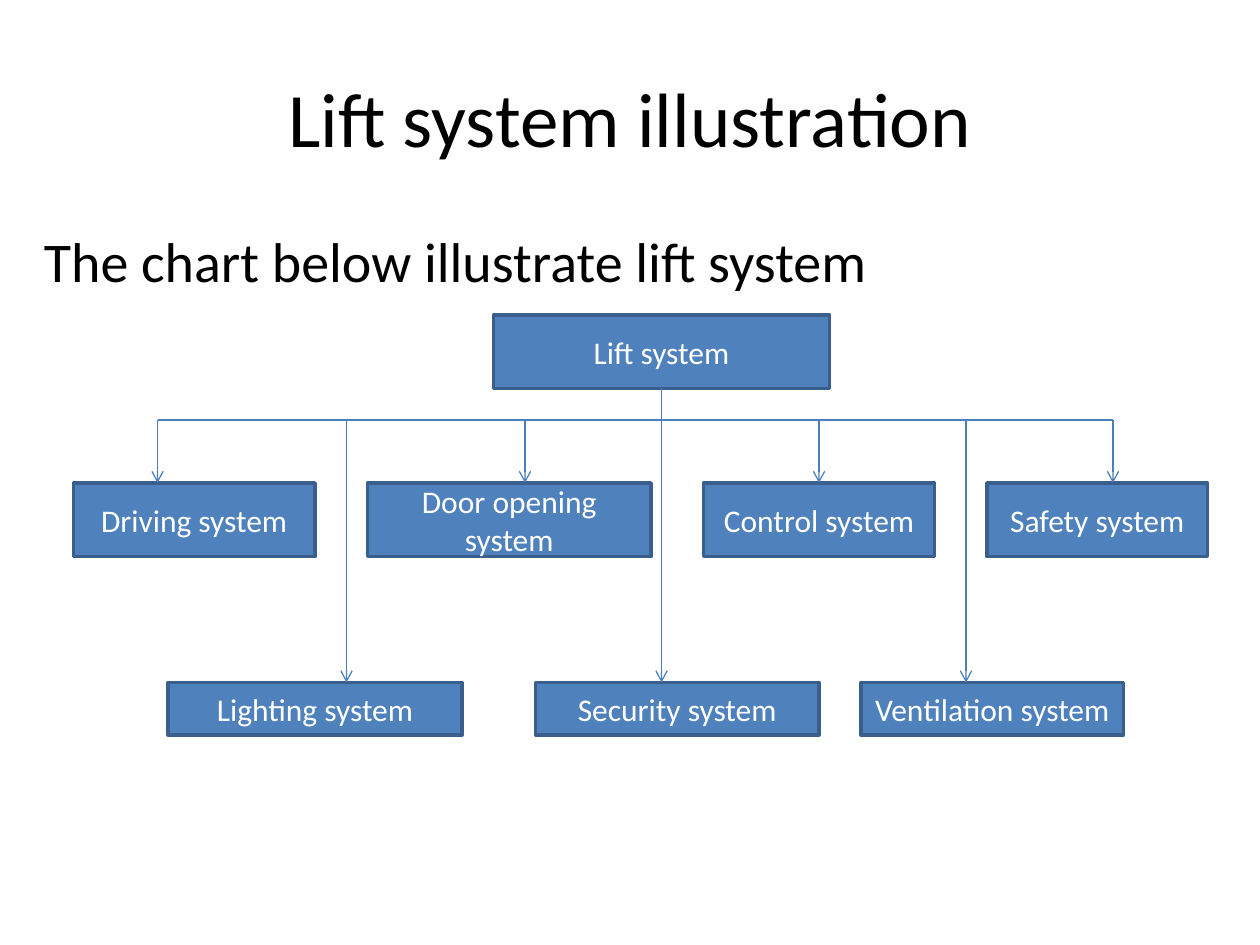
import pptx
import pptx.dml.color
import pptx.enum.shapes
import pptx.enum.text
import pptx.oxml
import pptx.oxml.ns
import pptx.util

COLUMNS, ROWS = 120, 90
CELL = pptx.util.Inches(10) // COLUMNS
BUS_ROW = 40
UPPER_ROW, LOWER_ROW = 46, 65
PROCESS = pptx.enum.shapes.MSO_SHAPE.FLOWCHART_PROCESS
RECTANGLE = pptx.enum.shapes.MSO_SHAPE.RECTANGLE
CENTER = pptx.enum.text.PP_ALIGN.CENTER
LEFT = pptx.enum.text.PP_ALIGN.LEFT
MIDDLE = pptx.enum.text.MSO_ANCHOR.MIDDLE
TOP = pptx.enum.text.MSO_ANCHOR.TOP

# name, left column, width in columns, column of its arrow, shape
UPPER_SYSTEMS = [
    ("Driving system", 7, 23, 15, PROCESS),
    ("Door opening system", 35, 27, 50, PROCESS),
    ("Control system", 67, 22, 78, PROCESS),
    ("Safety system", 94, 21, 106, RECTANGLE),
]
LOWER_SYSTEMS = [
    ("Lighting system", 16, 28, 33, PROCESS),
    ("Security system", 51, 27, 63, PROCESS),
    ("Ventilation system", 82, 25, 92, PROCESS),
]


def color(hex_string):
    return pptx.dml.color.RGBColor.from_string(hex_string)


def cells(*counts):
    return [CELL * count for count in counts]


def write(shape, words, size, ink, align, anchor):
    frame = shape.text_frame
    frame.text = words
    frame.word_wrap = True
    frame.vertical_anchor = anchor
    paragraph = frame.paragraphs[0]
    paragraph.alignment = align
    font = paragraph.runs[0].font
    for name, value in {"name": "Calibri", "size": pptx.util.Pt(size)}.items():
        setattr(font, name, value)
    font.color.rgb = color(ink)
    return paragraph


def add_box(slide, words, left, top, width, height, kind=PROCESS):
    box = slide.shapes.add_shape(kind, *cells(left, top, width, height))
    box.shadow.inherit = False
    box.fill.solid()
    box.fill.fore_color.rgb = color("4F81BD")
    box.line.color.rgb = color("3A5F8C")
    box.line.width = pptx.util.Pt(2)
    write(box, words, 18, "FFFFFF", CENTER, MIDDLE)
    return box


def add_line(slide, start, end, arrow=True):
    line = slide.shapes.add_connector(
        pptx.enum.shapes.MSO_CONNECTOR.STRAIGHT, *cells(*start, *end))
    line.line.color.rgb = color("4B7EBC")
    line.line.width = pptx.util.Pt(0.75)
    if arrow:
        outline = line.line._get_or_add_ln()
        outline.append(pptx.oxml.parse_xml(
            f'<a:tailEnd {pptx.oxml.ns.nsdecls("a")} type="arrow"/>'))
    line._element.spPr.append(pptx.oxml.parse_xml(
        f'<a:effectLst {pptx.oxml.ns.nsdecls("a")}/>'))
    return line


def add_headings(slide):
    title = slide.shapes.title
    place = cells(6, 3.6, 108, 15)
    for name, value in zip(("left", "top", "width", "height"), place):
        setattr(title, name, int(value))
    write(title, "Lift system illustration", 44, "000000", CENTER, MIDDLE)

    intro = slide.shapes.add_textbox(*cells(3, 21, 115, 8))
    sentence = write(intro, "The chart below illustrate lift system",
                     32, "000000", LEFT, TOP)
    sentence.space_before = pptx.util.Pt(6.4)


def add_lift_chart(slide):
    lift = add_box(slide, "Lift system", 47, 30, 32, 7)
    trunk_column = 47 + 32 / 2
    for systems, row, height in ((UPPER_SYSTEMS, UPPER_ROW, 7),
                                 (LOWER_SYSTEMS, LOWER_ROW, 5)):
        for name, left, width, arrow_column, kind in systems:
            system = add_box(slide, name, left, row, width, height, kind)
            from_lift = arrow_column == trunk_column
            start_row = 37 if from_lift else BUS_ROW
            arrow = add_line(slide, (arrow_column, start_row),
                             (arrow_column, row))
            if from_lift:
                arrow.begin_connect(lift, 2)
            if arrow_column == left + width / 2:
                arrow.end_connect(system, 0)
    add_line(slide, (UPPER_SYSTEMS[0][3], BUS_ROW),
             (UPPER_SYSTEMS[-1][3], BUS_ROW), arrow=False)


def main():
    deck = pptx.Presentation()
    deck.slide_width, deck.slide_height = cells(COLUMNS, ROWS)
    slide = deck.slides.add_slide(deck.slide_layouts[5])
    add_headings(slide)
    add_lift_chart(slide)
    deck.save("out.pptx")


if __name__ == "__main__":
    main()
